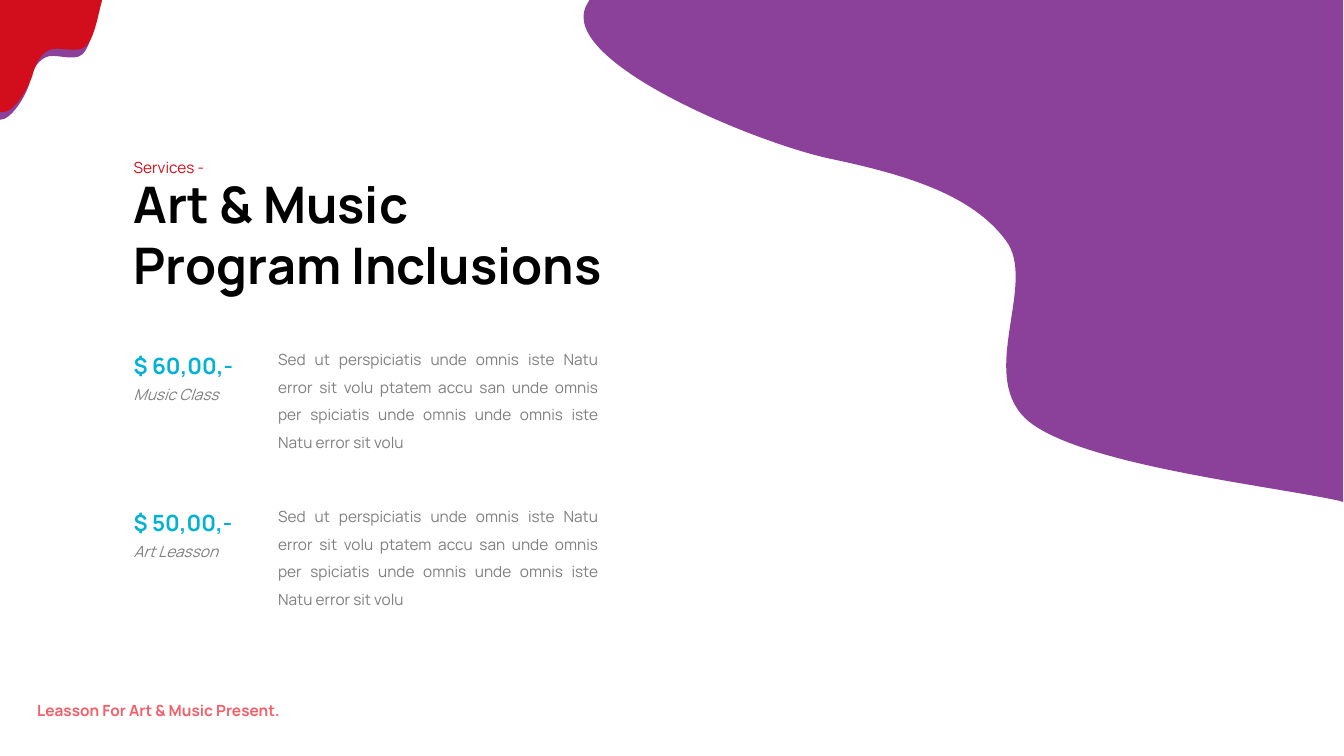
from lxml import etree
from pptx import Presentation
from pptx.dml.color import RGBColor
from pptx.enum import text
from pptx.oxml.ns import qn
from pptx.util import Cm, Pt

PURPLE = RGBColor(0x8B, 0x40, 0x9A)
RED = RGBColor(0xD2, 0x0E, 0x1C)
CORAL = RGBColor(0xF4, 0x5E, 0x69)
CYAN = RGBColor(0x01, 0xB2, 0xD4)
GRAY = RGBColor(0x7F, 0x7F, 0x7F)
BLACK = RGBColor(0, 0, 0)
FONT = "Manrope"

TITLE = ["Art & Music", "Program Inclusions"]
TAGLINE = "Services -"
FOOTER = "Leasson For Art & Music Present."
DESCRIPTION = ("Sed ut perspiciatis unde omnis iste Natu error sit volu ptatem "
               "accu san unde omnis per spiciatis unde omnis unde omnis iste "
               "Natu error sit volu")
SERVICES = [
    ("$ 60,00,-", "Music Class", DESCRIPTION),
    ("$ 50,00,-", "Art Leasson", DESCRIPTION),
]

# Each blob in cm: colour, straight edge, then Bezier curves (two controls, end)
BLOBS = [
    (PURPLE, [(14.86, 0), (33.86, 0), (33.86, 12.65), (33.76, 12.62)], [
        [(32.03, 12.24), (27.36, 11.73), (25.96, 10.64)],
        [(24.56, 9.53), (26.19, 7.14), (25.35, 6.05)],
        [(24.51, 4.93), (22.94, 4.42), (20.88, 3.99)],
        [(18.95, 3.56), (14.17, 1.57), (14.76, 0.18)],
    ]),
    (PURPLE, [(0, 0.2), (2.49, 0.2)], [
        [(2.41, 0.46), (2.31, 1.14), (2.08, 1.37)],
        [(1.85, 1.57), (1.37, 1.32), (1.14, 1.45)],
        [(0.91, 1.57), (0.81, 1.8), (0.74, 2.11)],
        [(0.66, 2.39), (0.3, 3.02), (0, 3.02)],
    ]),
    (RED, [(0, 0), (2.57, 0), (2.57, 0.03)], [
        [(2.49, 0.28), (2.39, 0.97), (2.16, 1.17)],
        [(1.93, 1.37), (1.45, 1.14), (1.22, 1.27)],
        [(0.99, 1.4), (0.89, 1.63), (0.81, 1.93)],
        [(0.71, 2.21), (0.33, 2.92), (0, 2.82)],
    ]),
]

LEFT = 3.12
DESCRIPTION_LEFT = 6.76
SERVICES_TOP = 8.41
SERVICE_PITCH = 3.96


def add_blob(slide, color, edge, curves):
    corners = [(Cm(x), Cm(y)) for x, y in edge + [curve[-1] for curve in curves]]
    builder = slide.shapes.build_freeform(*corners[0])
    builder.add_line_segments(corners[1:], close=True)
    blob = builder.convert_to_shape()
    blob.shadow.inherit = False
    blob.fill.solid()
    blob.fill.fore_color.rgb = color
    blob.line.fill.background()

    # The segments after the straight edge become cubic curves
    segments = list(blob.element.iter(qn("a:lnTo")))[-len(curves):]
    for segment, curve in zip(segments, curves):
        bezier = etree.Element(qn("a:cubicBezTo"))
        for x, y in curve:
            etree.SubElement(bezier, qn("a:pt"), x=str(Cm(x) - blob.left),
                             y=str(Cm(y) - blob.top))
        segment.getparent().replace(segment, bezier)


def add_text(slide, lines, left, top, width, height, *, size=11, color=GRAY,
             bold=False, italic=False, spacing=1.5, justify=False):
    box = slide.shapes.add_textbox(Cm(left), Cm(top), Cm(width), Cm(height))
    frame = box.text_frame
    frame.word_wrap = True
    frame.auto_size = text.MSO_AUTO_SIZE.SHAPE_TO_FIT_TEXT
    frame.text = "\n".join(lines)
    for paragraph in frame.paragraphs:
        paragraph.line_spacing = spacing
        paragraph.alignment = (text.PP_ALIGN.JUSTIFY if justify
                               else text.PP_ALIGN.LEFT)
        for run in paragraph.runs:
            run.font.name = FONT
            run.font.size = Pt(size)
            run.font.bold = bold
            run.font.italic = italic
            run.font.color.rgb = color


def main():
    prs = Presentation()
    prs.slide_width, prs.slide_height = Cm(33.88), Cm(19.05)
    slide = prs.slides.add_slide(prs.slide_layouts[6])

    for blob in BLOBS:
        add_blob(slide, *blob)

    add_text(slide, [FOOTER], 0.69, 17.3, 9.53, 0.97, color=CORAL, bold=True)
    add_text(slide, TITLE, LEFT, 4.25, 12.42, 4.83, size=36, color=BLACK,
             bold=True, spacing=1.0)
    add_text(slide, [TAGLINE], LEFT, 3.62, 4.27, 0.97, color=RED, justify=True)

    for index, (price, service, description) in enumerate(SERVICES):
        top = SERVICES_TOP + index * SERVICE_PITCH
        add_text(slide, [description], DESCRIPTION_LEFT, top + 0.05, 8.58, 3.05,
                 justify=True)
        add_text(slide, [price], LEFT, top, 3.43, 1.27, size=16, color=CYAN,
                 bold=True)
        add_text(slide, [service], LEFT, top + 0.94, 3.96, 0.97, italic=True,
                 justify=True)

    prs.save("out.pptx")


if __name__ == "__main__":
    main()
